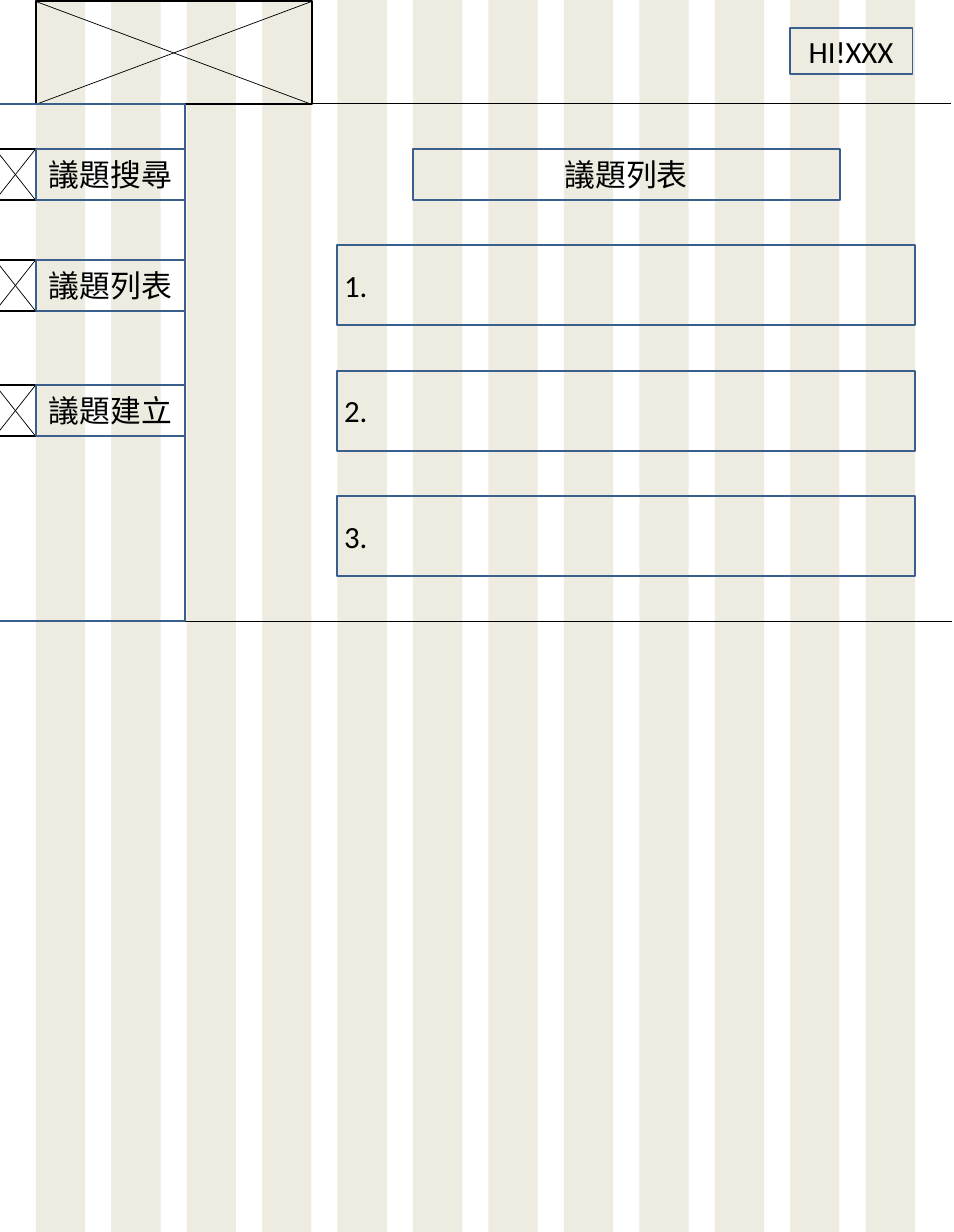
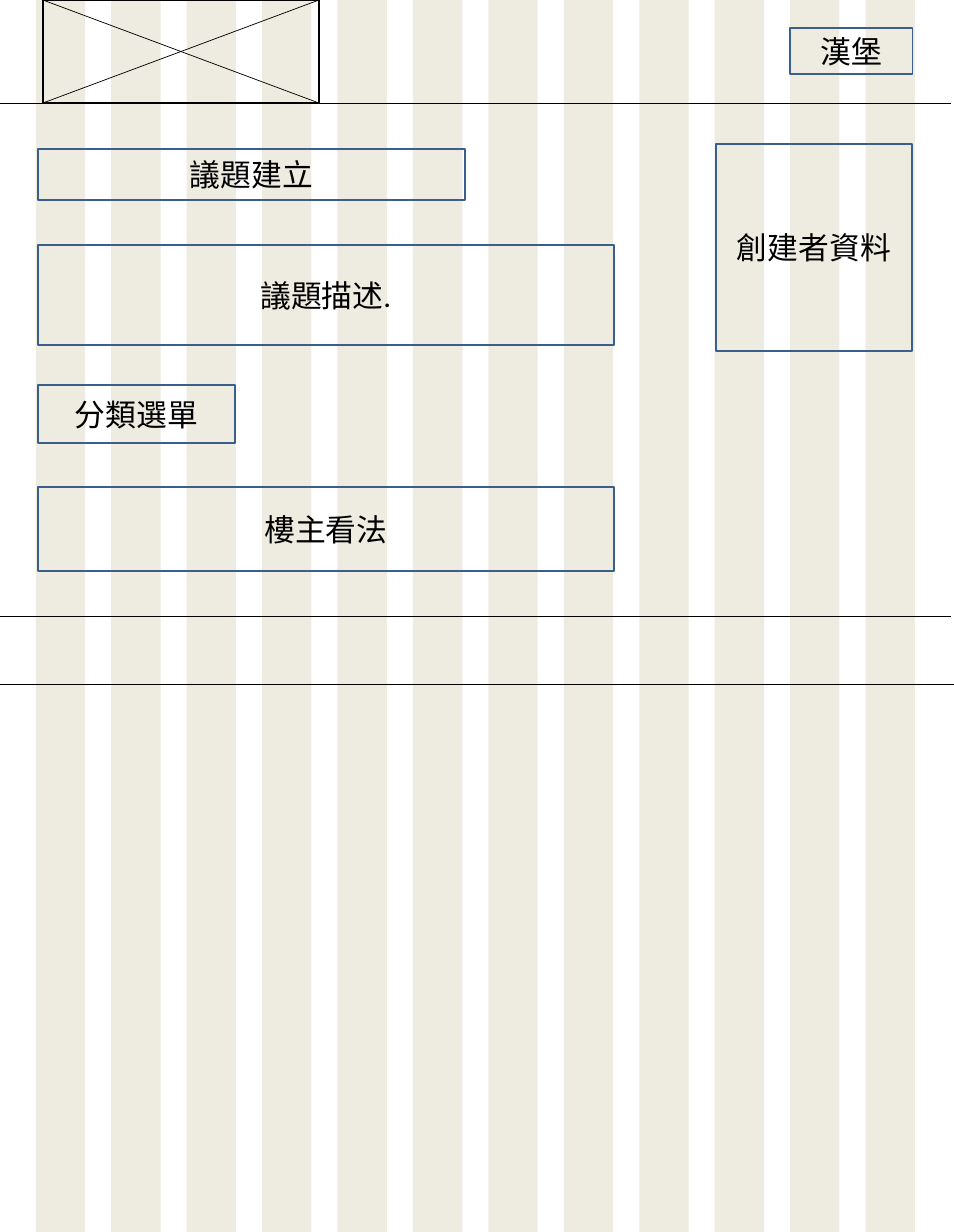
"""Build two wireframe slides for a topic forum over a column grid."""
from dataclasses import dataclass

from lxml import etree
from pptx import Presentation
from pptx.dml.color import RGBColor
from pptx.enum.shapes import MSO_CONNECTOR, MSO_SHAPE
from pptx.enum.text import MSO_ANCHOR, PP_ALIGN
from pptx.oxml.ns import qn
from pptx.util import Pt

RECT = MSO_SHAPE.RECTANGLE
STRAIGHT = MSO_CONNECTOR.STRAIGHT
MIDDLE = MSO_ANCHOR.MIDDLE
LEFT, CENTER = PP_ALIGN.LEFT, PP_ALIGN.CENTER


@dataclass(frozen=True)
class Theme:
    band: RGBColor = RGBColor(0xEE, 0xEC, 0xE1)
    edge: RGBColor = RGBColor(0x3A, 0x5F, 0x8C)
    ink: RGBColor = RGBColor(0, 0, 0)
    font: str = "Calibri"
    size: float = 31
    thick: float = 2
    thin: float = 0.75


THEME = Theme()
WIDE, TALL = 960.48, 1239.84
COLS, MARGIN, PITCH, BAND = 12, 36, 75.95, 49.68
TOP = 104.4
ROW = 51.84
TITLE_Y, TITLE_W = 149.76, 429.84
FORM_X = 38.16
FORM_W = 579.6
SIDE_X = -5.04
MENU = (("議題搜尋", 149.76), ("議題列表", 261.36), ("議題建立", 387.36))
LIST_Y, LIST_STEP = 246.96, 126
FORM = (
    ("議題建立", FORM_X, TITLE_Y, TITLE_W, ROW),
    ("議題描述.", FORM_X, 246.96, FORM_W, 100.8),
    ("創建者資料", 720.72, 144.72, 197.28, 208.08),
    ("分類選單", FORM_X, 387.36, 198, 58.32),
    ("樓主看法", FORM_X, 490.32, FORM_W, 84.24),
)


def apply(target, style):
    """Set each attribute that the style names."""
    for name, value in style.items():
        setattr(target, name, value)


def add_rect(shapes, x, y, w, h, fill=None, edge=None):
    """Add a plain rectangle with an optional fill and outline."""
    rect = shapes.add_shape(RECT, Pt(x), Pt(y), Pt(w), Pt(h))
    rect.shadow.inherit = False
    if fill is None:
        rect.fill.background()
    else:
        rect.fill.solid()
        rect.fill.fore_color.rgb = fill
    if edge is None:
        rect.line.fill.background()
    else:
        rect.line.color.rgb = edge
        rect.line.width = Pt(THEME.thick)
    return rect


def add_box(shapes, text, x, y, w, h, align=CENTER):
    """Add an outlined box with a label."""
    box = add_rect(shapes, x, y, w, h, edge=THEME.edge)
    apply(box.text_frame, {"word_wrap": True, "vertical_anchor": MIDDLE})
    para = box.text_frame.paragraphs[0]
    para.alignment = align
    run = para.add_run()
    run.text = text
    apply(run.font, {"name": THEME.font, "size": Pt(THEME.size)})
    run.font.color.rgb = THEME.ink


def add_line(shapes, x1, y1, x2, y2):
    """Add a thin straight line without a shadow."""
    line = shapes.add_connector(STRAIGHT, Pt(x1), Pt(y1), Pt(x2), Pt(y2))
    line.line.color.rgb = THEME.ink
    line.line.width = Pt(THEME.thin)
    etree.SubElement(line.element.spPr, qn("a:effectLst"))


def add_rule(shapes, y, x=-2.88):
    """Add a rule across the slide."""
    add_line(shapes, x, y, x + WIDE, y)


def add_cross(shapes, x, y, w, h):
    """Add a crossed frame that holds the place of an image."""
    parts = shapes.add_group_shape().shapes
    add_rect(parts, x, y, w, h, edge=THEME.ink)
    add_line(parts, x, y, x + w, y + h)
    add_line(parts, x + w, y, x, y + h)


def add_page(deck, label, logo_x, logo_y):
    """Add a slide with the column grid and the header."""
    shapes = deck.slides.add_slide(deck.slide_layouts[6]).shapes
    bands = shapes.add_group_shape().shapes
    for col in range(COLS):
        add_rect(bands, MARGIN + col * PITCH, 0, BAND, TALL, fill=THEME.band)
    add_cross(shapes, logo_x, logo_y, 277.92, 103.68)
    add_rule(shapes, TOP)
    add_box(shapes, label, 794.88, 28.08, 123.84, 46.8)
    return shapes


def add_list(deck):
    """Add the topic list with its side menu."""
    shapes = add_page(deck, "HI!XXX", MARGIN, 1.44)
    foot = 624.96
    add_rule(shapes, foot, -2.16)
    add_box(shapes, "議題列表", 415.44, TITLE_Y, TITLE_W, ROW)
    add_rect(shapes, SIDE_X, TOP, 191.52, foot - TOP, edge=THEME.edge)
    for text, y in MENU:
        add_cross(shapes, SIDE_X, y, MARGIN - SIDE_X, ROW)
        add_box(shapes, text, MARGIN, y, 150.48, ROW)
    for row in range(3):
        y = LIST_Y + row * LIST_STEP
        add_box(shapes, f"{row + 1}.", 339.3, y, 582, 80.64, LEFT)


def add_form(deck):
    """Add the form for a new topic."""
    shapes = add_page(deck, "漢堡", 43.2, 0)
    for field in FORM:
        add_box(shapes, *field)
    add_rule(shapes, 619.92)
    add_rule(shapes, 688.32, 0)


def main():
    """Build and save the deck."""
    deck = Presentation()
    apply(deck, {"slide_width": Pt(WIDE), "slide_height": Pt(TALL)})
    add_list(deck)
    add_form(deck)
    deck.save("out.pptx")


if __name__ == "__main__":
    main()
